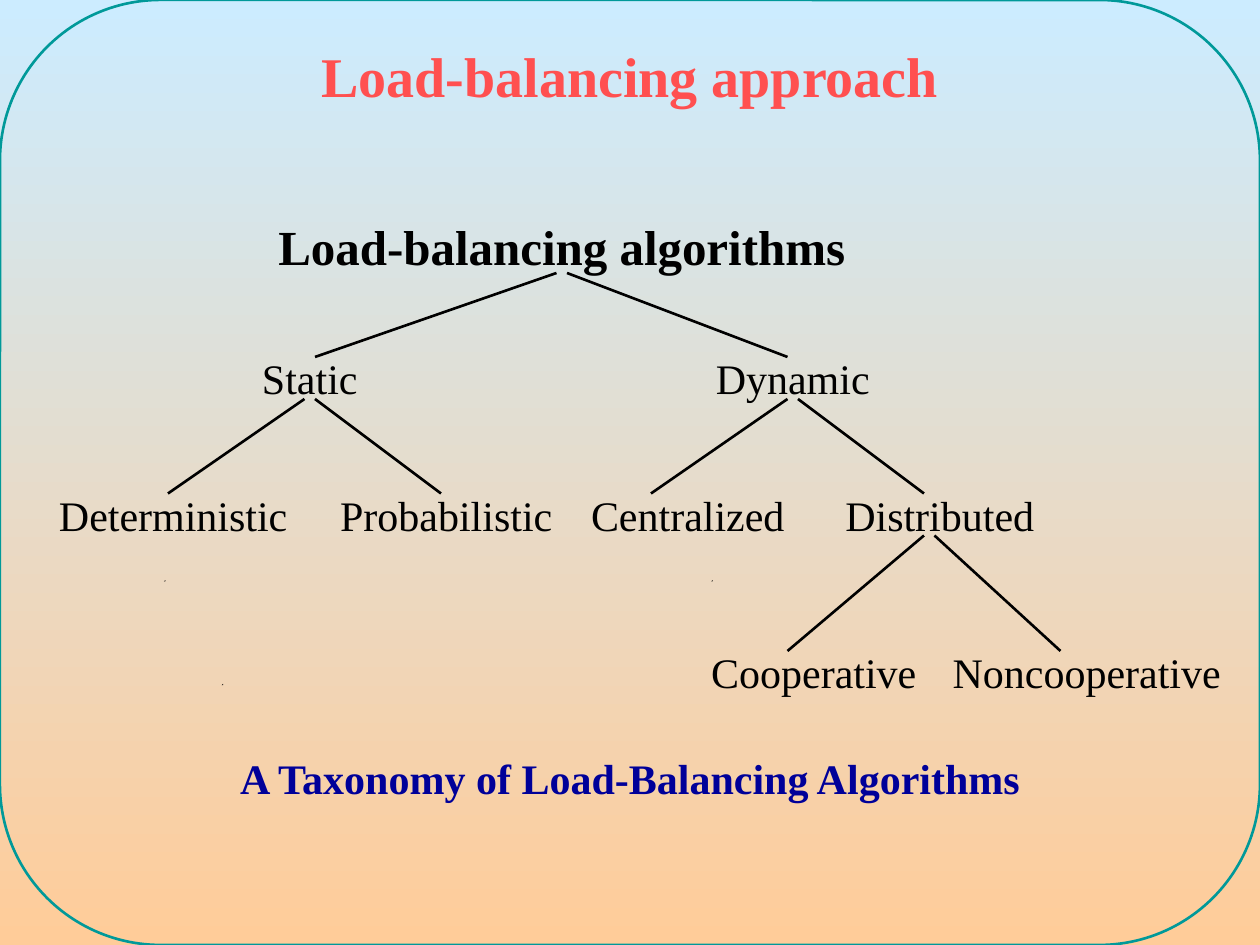
"""Build a slide showing a taxonomy tree of load-balancing algorithms."""
from dataclasses import dataclass

import pptx
import pptx.dml.color
import pptx.enum.shapes
import pptx.enum.text
import pptx.oxml
import pptx.shapes.autoshape
import pptx.slide
import pptx.text.text
import pptx.util

RGBColor = pptx.dml.color.RGBColor
BLACK = RGBColor(0x00, 0x00, 0x00)
TEAL = RGBColor(0x00, 0x99, 0x99)
CORAL = RGBColor(0xFF, 0x50, 0x50)
NAVY = RGBColor(0x00, 0x00, 0x99)
SKY = RGBColor(0xCC, 0xEC, 0xFF)
PEACH = RGBColor(0xFF, 0xCC, 0x99)

FONT = "Times New Roman"
EMU_PER_PX = 9525
PAGE_WIDTH, PAGE_HEIGHT = 960, 720
FORK_GAP = 8
LINE_WIDTH = 1.5
SPECKS = [(169, 521), (125, 442), (542, 442)]


@dataclass(frozen=True)
class Label:
    text: str
    left: int
    top: int
    width: int
    height: int = 48
    size: int = 24
    bold: bool = False
    color: RGBColor = BLACK


@dataclass(frozen=True)
class Fork:
    start_x: int
    start_y: int
    left_x: int
    right_x: int
    end_y: int


TITLE = Label("Load-balancing approach", 24, 24, 912, 64, 32, True, CORAL)
LABELS = [
    Label("Load-balancing algorithms", 192, 160, 472, 55, 28, True),
    Label("Static", 152, 264, 168),
    Label("Dynamic", 520, 264, 168),
    Label("Deterministic", 24, 368, 216),
    Label("Probabilistic", 232, 368, 216),
    Label("Centralized", 416, 368, 216),
    Label("Distributed", 608, 368, 216),
    Label("Cooperative", 512, 488, 216),
    Label("Noncooperative", 712, 488, 232),
    Label("A Taxonomy of Load-Balancing Algorithms", 24, 569, 912, bold=True, color=NAVY),
]
FORKS = [
    Fork(424, 208, 240, 600, 272),
    Fork(232, 304, 128, 336, 376),
    Fork(600, 304, 496, 704, 376),
    Fork(704, 408, 600, 808, 496),
]


def px(length: int) -> pptx.util.Emu:
    """Turn pixels into EMU."""
    return pptx.util.Emu(length * EMU_PER_PX)


def paint_background(page: pptx.slide.Slide) -> None:
    """Fill the page from sky at the top to peach at the bottom."""
    fill = page.background.fill
    fill.gradient()
    fill.gradient_angle = 270
    for stop, color, position in zip(fill.gradient_stops, (SKY, PEACH), (0, 1)):
        stop.color.rgb = color
        stop.position = position


def draw_specks(page: pptx.slide.Slide) -> None:
    """Draw the tiny background specks."""
    for left, top in SPECKS:
        builder = page.shapes.build_freeform(left, top + 1, scale=EMU_PER_PX)
        builder.add_line_segments([(left + 1, top), (left + 1, top + 1)], close=True)
        speck = builder.convert_to_shape()
        speck.shadow.inherit = False
        speck.fill.solid()
        speck.fill.fore_color.rgb = BLACK
        speck.line.fill.background()


def draw_frame(page: pptx.slide.Slide) -> None:
    """Draw the rounded frame around the page."""
    frame = page.shapes.add_shape(
        pptx.enum.shapes.MSO_SHAPE.ROUNDED_RECTANGLE, 0, 0, px(PAGE_WIDTH), px(PAGE_HEIGHT)
    )
    frame.adjustments[0] = 0.17
    frame.shadow.inherit = False
    frame.fill.background()
    frame.line.color.rgb = TEAL
    frame.line.width = pptx.util.Pt(LINE_WIDTH)


def write_label(box: pptx.shapes.autoshape.Shape, label: Label) -> None:
    """Write one centred line of text in a box."""
    frame = box.text_frame
    frame.word_wrap = True
    frame.auto_size = pptx.enum.text.MSO_AUTO_SIZE.NONE
    para = frame.paragraphs[0]
    para.alignment = pptx.enum.text.PP_ALIGN.CENTER
    span = para.add_run()
    span.text = label.text
    span.font.name = FONT
    span.font.size = pptx.util.Pt(label.size)
    span.font.bold = label.bold
    span.font.color.rgb = label.color


def draw_title(page: pptx.slide.Slide, label: Label) -> None:
    """Place and fill the title placeholder."""
    box = page.shapes.title
    box.left, box.top = px(label.left), px(label.top)
    box.width, box.height = px(label.width), px(label.height)
    write_label(box, label)
    box.text_frame.vertical_anchor = pptx.enum.text.MSO_ANCHOR.BOTTOM


def draw_label(page: pptx.slide.Slide, label: Label) -> None:
    """Draw a text box for one label."""
    box = page.shapes.add_textbox(
        px(label.left), px(label.top), px(label.width), px(label.height)
    )
    write_label(box, label)


def draw_fork(page: pptx.slide.Slide, fork: Fork) -> None:
    """Draw the two branches under a parent."""
    starts = (fork.start_x, fork.start_x + FORK_GAP)
    for start_x, end_x in zip(starts, (fork.left_x, fork.right_x)):
        branch = page.shapes.add_connector(
            pptx.enum.shapes.MSO_CONNECTOR.STRAIGHT,
            px(start_x), px(fork.start_y), px(end_x), px(fork.end_y),
        )
        branch.line.color.rgb = BLACK
        branch.line.width = pptx.util.Pt(LINE_WIDTH)
        effects = pptx.oxml.parse_xml(
            '<a:effectLst xmlns:a="http://schemas.openxmlformats.org/drawingml/2006/main"/>'
        )
        branch._element.spPr.append(effects)


def main() -> None:
    """Build and save the deck."""
    deck = pptx.Presentation()
    deck.slide_width, deck.slide_height = px(PAGE_WIDTH), px(PAGE_HEIGHT)
    page = deck.slides.add_slide(deck.slide_layouts.get_by_name("Title Only"))
    paint_background(page)
    draw_specks(page)
    draw_frame(page)
    draw_title(page, TITLE)
    for label in LABELS:
        draw_label(page, label)
    for fork in FORKS:
        draw_fork(page, fork)
    deck.save("out.pptx")


if __name__ == "__main__":
    main()
